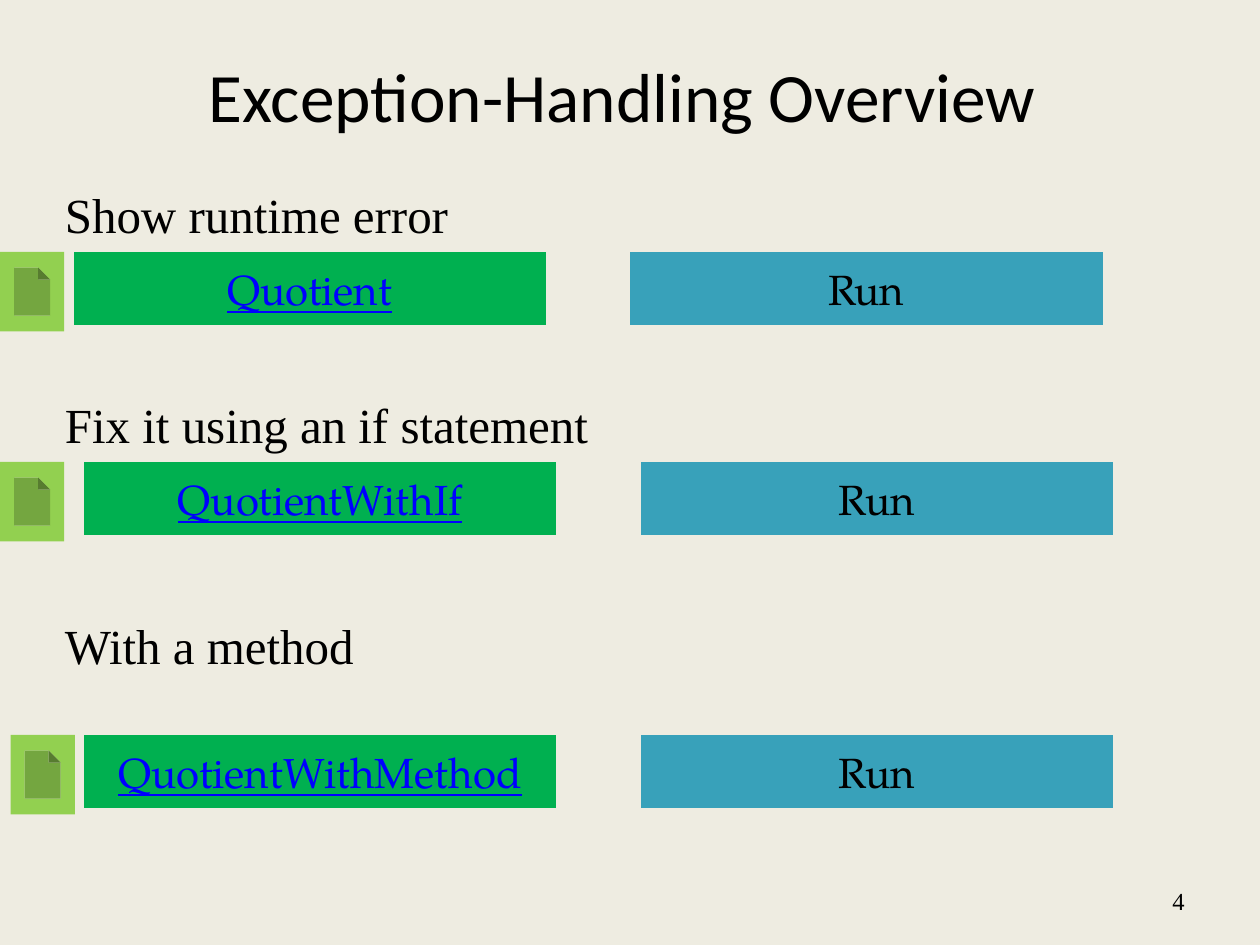
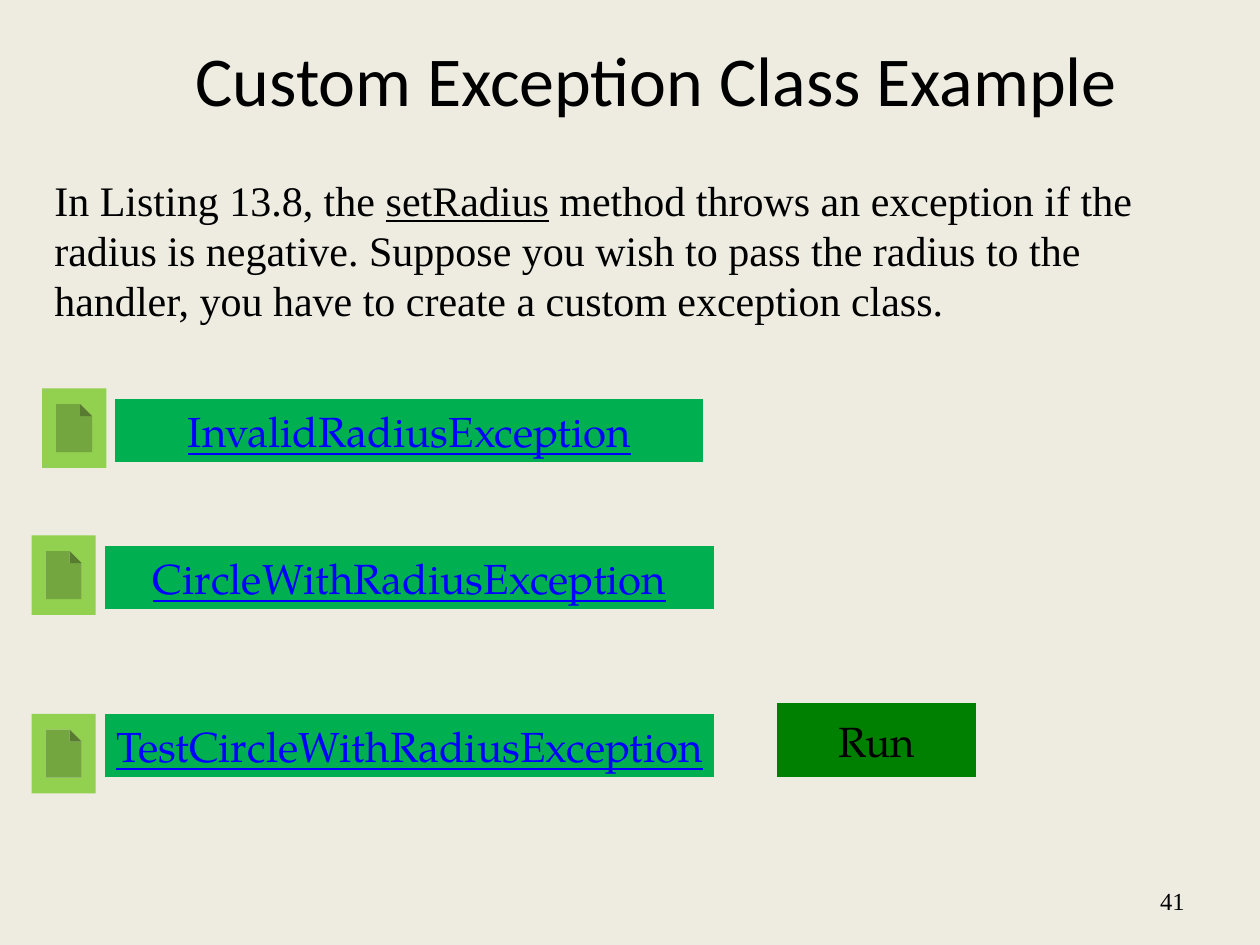
import pptx
import pptx.util
import pptx.dml.color
import pptx.enum.shapes
import pptx.enum.text

RGBColor = pptx.dml.color.RGBColor
SHAPE = pptx.enum.shapes.MSO_SHAPE
ALIGN = pptx.enum.text.PP_ALIGN
ANCHOR = pptx.enum.text.MSO_ANCHOR

# Shared look
PAPER = RGBColor(0xEE, 0xEC, 0xE1)
INK = RGBColor(0x00, 0x00, 0x00)
LINK = RGBColor(0x00, 0x00, 0xFF)
SOURCE_GREEN = RGBColor(0x00, 0xB0, 0x50)
RUN_BLUE = RGBColor(0x38, 0xA1, 0xBA)
RUN_GREEN = RGBColor(0x00, 0x80, 0x00)
ICON_GREEN = RGBColor(0x92, 0xD0, 0x50)
TITLE_FONT, BODY_FONT, BUTTON_FONT = "Calibri", "Times New Roman", "TeX Gyre Pagella"

# Grid of 120 columns by 90 rows, twelve to the inch
COLS, ROWS = 120, 90
WIDTH, HEIGHT = pptx.util.Inches(10), pptx.util.Inches(7.5)
ICON_W, ICON_H = 6.12, 7.56


def place(col, row, cols, rows):
    return (round(WIDTH * col / COLS), round(HEIGHT * row / ROWS),
            round(WIDTH * cols / COLS), round(HEIGHT * rows / ROWS))


def add_run(p, text, font, size, color=INK, underline=False):
    r = p.add_run()
    r.text = text
    r.font.name = font
    r.font.size = pptx.util.Pt(size)
    r.font.color.rgb = color
    r.font.underline = underline


def add_text(slide, box, runs, font, size, align=ALIGN.LEFT, anchor=ANCHOR.TOP):
    """Add a wrapped text box; runs are (text, underlined) pairs."""
    tf = slide.shapes.add_textbox(*place(*box)).text_frame
    tf.word_wrap = True
    tf.vertical_anchor = anchor
    p = tf.paragraphs[0]
    p.alignment = align
    for text, underline in runs:
        add_run(p, text, font, size, underline=underline)


def add_block(slide, kind, box, fill):
    sp = slide.shapes.add_shape(kind, *place(*box))
    sp.shadow.inherit = False
    sp.fill.solid()
    sp.fill.fore_color.rgb = fill
    sp.line.fill.background()
    return sp


def add_button(slide, box, text, fill, color=INK, underline=False):
    tf = add_block(slide, SHAPE.ACTION_BUTTON_CUSTOM, box, fill).text_frame
    tf.word_wrap = False
    tf.vertical_anchor = ANCHOR.MIDDLE
    p = tf.paragraphs[0]
    p.alignment = ALIGN.CENTER
    add_run(p, text, BUTTON_FONT, 24, color, underline)


def add_source(slide, box, name, icon_col, icon_row):
    """Add a source-file button with its document icon."""
    add_button(slide, box, name, SOURCE_GREEN, LINK, True)
    add_block(slide, SHAPE.ACTION_BUTTON_DOCUMENT,
              (icon_col, icon_row, ICON_W, ICON_H), ICON_GREEN)


def add_slide(prs, title, title_box, title_size, number):
    slide = prs.slides.add_slide(prs.slide_layouts[6])
    slide.background.fill.solid()
    slide.background.fill.fore_color.rgb = PAPER
    add_text(slide, title_box, [(title, False)], TITLE_FONT, title_size,
             ALIGN.CENTER, ANCHOR.MIDDLE)
    add_text(slide, (86, 83.4, 28, 4.8), [(number, False)], BODY_FONT, 14,
             ALIGN.RIGHT, ANCHOR.MIDDLE)
    return slide


def build_overview(prs):
    slide = add_slide(prs, "Exception-Handling Overview ", (4, 5, 112, 8), 39.6, "4")
    # Step, its row, source name, button column and row, icon column
    steps = [
        ("Show runtime error", 17, "Quotient", 7, 24, 0),
        ("Fix it using an if statement", 37, "QuotientWithIf", 8, 44, 0),
        ("With a method", 58, "QuotientWithMethod", 8, 70, 1),
    ]
    for step, step_row, name, col, row, icon_col in steps:
        add_text(slide, (5, step_row, 112, 6.84), [(step, False)], BODY_FONT, 28)
        add_source(slide, (col, row, 45, 7), name, icon_col, row)
        add_button(slide, (col + 53, row, 45, 7), "Run", RUN_BLUE)


def build_custom_exception(prs):
    slide = add_slide(prs, "Custom Exception Class Example", (9, 4, 107, 7), 40, "41")
    add_text(slide, (4, 16, 113, 15.6), [
        ("In Listing 13.8, the ", False),
        ("setRadius", True),
        (" method throws an exception if the radius is negative. Suppose you wish "
         "to pass the radius to the handler, you have to create a custom exception "
         "class.", False),
    ], BODY_FONT, 24)
    # Source name, button column, row and width, icon row
    sources = [
        ("InvalidRadiusException", 11, 38, 56, 37),
        ("CircleWithRadiusException", 10, 52, 58, 51),
        ("TestCircleWithRadiusException", 10, 68, 58, 68),
    ]
    for name, col, row, cols, icon_row in sources:
        add_source(slide, (col, row, cols, 6), name, col - 7, icon_row)
    add_button(slide, (74, 67, 19, 7), "Run", RUN_GREEN)


def main():
    prs = pptx.Presentation()
    prs.slide_width, prs.slide_height = WIDTH, HEIGHT
    build_overview(prs)
    build_custom_exception(prs)
    prs.save("out.pptx")


if __name__ == "__main__":
    main()
